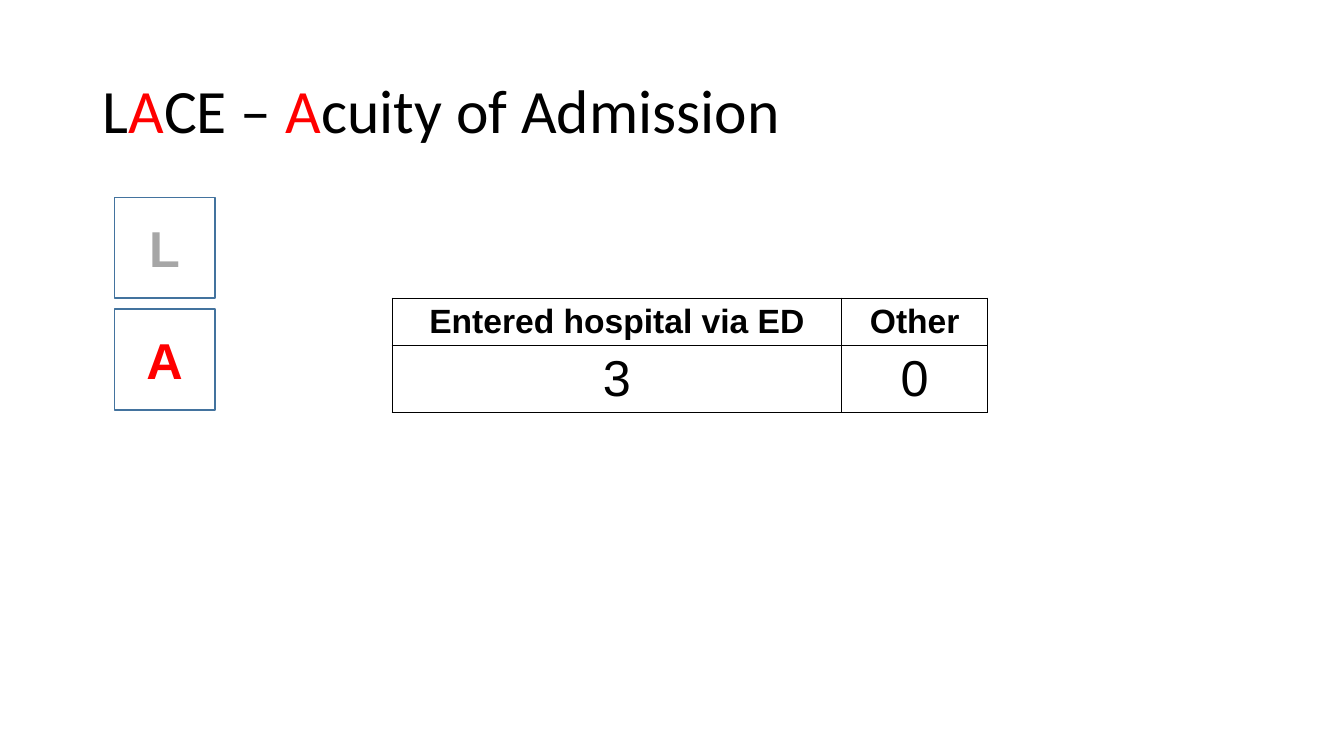
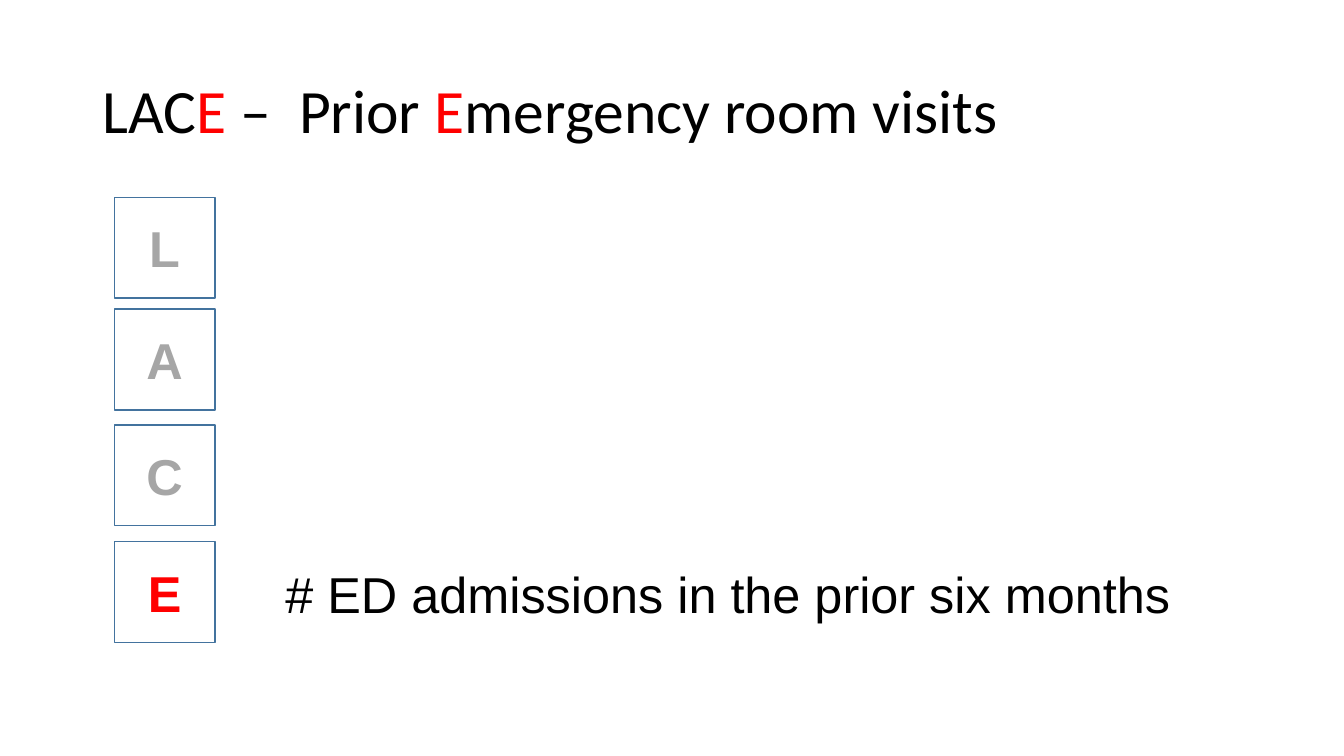
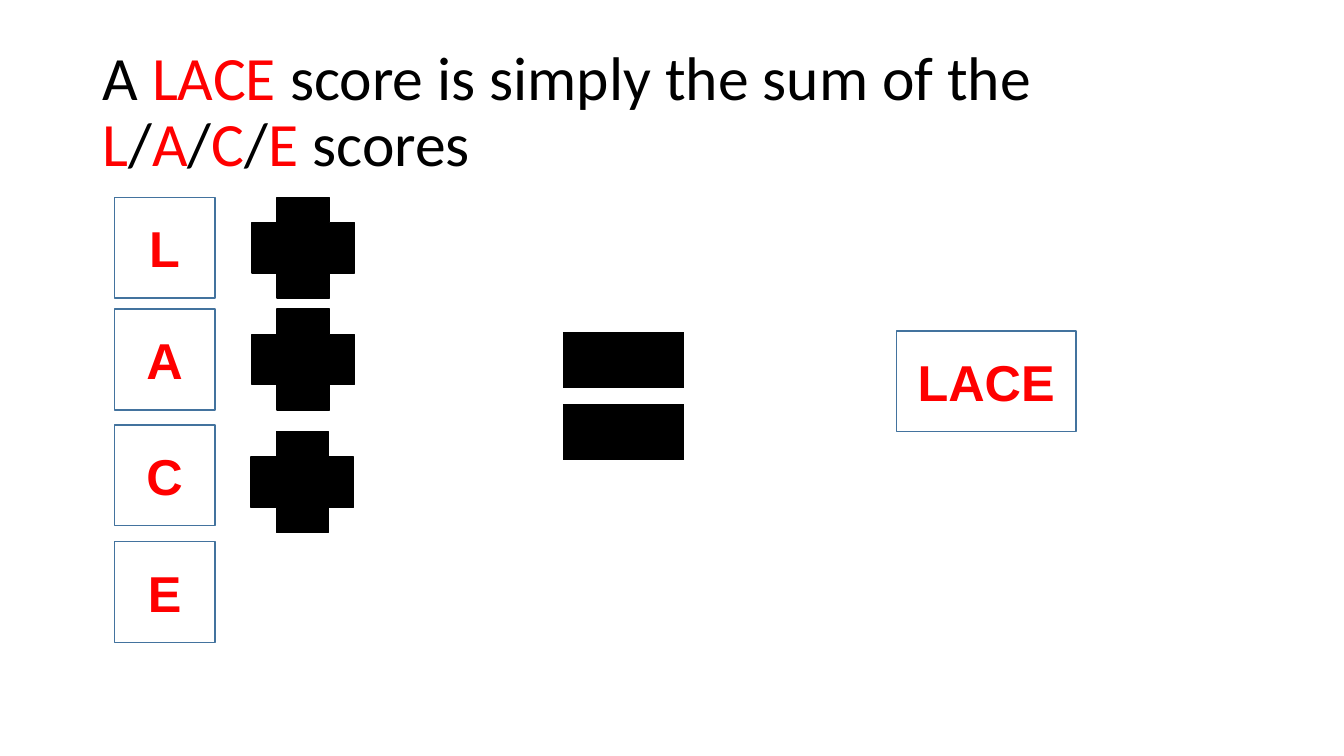
from lxml.etree import SubElement
from pptx import Presentation
from pptx.dml.color import RGBColor
from pptx.enum.shapes import MSO_CONNECTOR, MSO_SHAPE
from pptx.enum.text import MSO_ANCHOR, MSO_AUTO_SIZE, PP_ALIGN
from pptx.oxml.ns import qn
from pptx.util import Inches, Pt

COLUMNS, ROWS = 160, 90
BLACK, WHITE, RED, GREY, BLUE = "000000", "FFFFFF", "FF0000", "A6A6A6", "43739E"
TILE_LEFT, TILE_SIZE = 13.6, 12
TILE_ROWS = {"L": 23.5, "A": 36.8, "C": 50.6, "E": 64.5}


def color(code):
    """Turn a hex string into a colour."""
    return RGBColor.from_string(code)


def write(frame, text, size=36, font="Arial", ink=BLACK, accent=RED,
          bold=False, align=PP_ALIGN.CENTER, spacing=None):
    """Write one paragraph; parts between asterisks take the accent colour."""
    para = frame.paragraphs[0]
    para.alignment = align
    para.line_spacing = spacing
    for index, part in enumerate(text.split("*")):
        if part:
            span = para.add_run()
            span.text = part
            span.font.size = Pt(size)
            span.font.name = font
            span.font.bold = bold
            span.font.color.rgb = color(accent if index % 2 else ink)


class LaceDeck:
    """Hold the deck's style and the slide being built."""

    def __init__(self):
        """Open a wide deck and measure its grid."""
        self.deck = Presentation()
        self.deck.slide_width, self.deck.slide_height = Inches(13.333), Inches(7.5)
        self.slide = None

    def across(self, columns):
        """Turn grid columns into a length."""
        return round(self.deck.slide_width * columns / COLUMNS)

    def down(self, rows):
        """Turn grid rows into a length."""
        return round(self.deck.slide_height * rows / ROWS)

    def place(self, left, top, width, height):
        """Turn a grid area into lengths."""
        return self.across(left), self.down(top), self.across(width), self.down(height)

    def page(self, title):
        """Start a slide with its title."""
        self.slide = self.deck.slides.add_slide(self.deck.slide_layouts[5])
        box = self.slide.shapes.title
        box.left, box.top, box.width, box.height = self.place(11, 4.8, 138, 17.4)
        frame = box.text_frame
        frame.word_wrap = True
        frame.auto_size = MSO_AUTO_SIZE.NONE
        frame.vertical_anchor = MSO_ANCHOR.MIDDLE
        write(frame, title, size=44, font="Calibri", align=PP_ALIGN.LEFT, spacing=0.9)

    def shape(self, kind, area, line, fill=None):
        """Add a preset shape, hollow unless a fill is given."""
        box = self.slide.shapes.add_shape(kind, *self.place(*area))
        box.shadow.inherit = False
        if fill:
            box.fill.solid()
            box.fill.fore_color.rgb = color(fill)
        else:
            box.fill.background()
        box.line.color.rgb = color(line)
        box.line.width = Pt(1)
        return box

    def tile(self, text, area, ink):
        """Add an outlined box with bold text."""
        frame = self.shape(MSO_SHAPE.RECTANGLE, area, BLUE).text_frame
        frame.vertical_anchor = MSO_ANCHOR.MIDDLE
        write(frame, text, ink=ink, bold=True)

    def letters(self, shown, active):
        """Stack the letter tiles, with the active ones in red."""
        for letter in shown:
            area = (TILE_LEFT, TILE_ROWS[letter], TILE_SIZE, TILE_SIZE)
            self.tile(letter, area, RED if letter in active else GREY)

    def plus(self, left, top):
        """Add a black plus sign."""
        self.shape(MSO_SHAPE.CROSS, (left, top, 12.2, TILE_SIZE), BLACK, BLACK)

    def bar(self, left, right, row):
        """Add one thick bar of an equals sign."""
        line = self.slide.shapes.add_connector(
            MSO_CONNECTOR.STRAIGHT, self.across(left), self.down(row),
            self.across(right), self.down(row))
        line.line.color.rgb = color(BLACK)
        line.line.width = Pt(40)
        SubElement(line._element.spPr, qn("a:effectLst"))

    def label(self, text, area):
        """Add a plain line of text."""
        frame = self.slide.shapes.add_textbox(*self.place(*area)).text_frame
        frame.word_wrap = True
        write(frame, text, align=PP_ALIGN.LEFT)

    def table(self, left, top, widths, height, rows):
        """Add a ruled table with a bold header row."""
        area = self.place(left, top, sum(widths), height * len(rows))
        table = self.slide.shapes.add_table(len(rows), len(widths), *area).table
        for column, width in zip(table.columns, widths):
            column.width = self.across(width)
        for row, texts in enumerate(rows):
            for column, text in enumerate(texts):
                cell = table.cell(row, column)
                self.rule(cell)
                cell.fill.solid()
                cell.fill.fore_color.rgb = color(WHITE)
                header = row == 0
                write(cell.text_frame, text, size=24 if header else 36, bold=header)

    def rule(self, cell):
        """Draw the four borders of a cell."""
        properties = cell._tc.get_or_add_tcPr()
        for side in ("lnL", "lnR", "lnT", "lnB"):
            border = SubElement(properties, qn(f"a:{side}"), w=str(Pt(1)))
            SubElement(SubElement(border, qn("a:solidFill")), qn("a:srgbClr"), val=BLACK)


def main():
    """Build the three slides."""
    lace = LaceDeck()

    lace.page("L*A*CE – *A*cuity of Admission")
    lace.letters("LA", active="A")
    lace.table(46.7, 35.5, (53.5, 17.4), 4.9,
               (("Entered hospital via ED", "Other"), ("3", "0")))

    lace.page("LAC*E* –  Prior *E*mergency room visits")
    lace.letters("LACE", active="E")
    lace.label("# ED admissions in the prior six months", (32.8, 66.4, 108.8, 8.5))

    lace.page("A *LACE* score is simply the sum of the *L*/*A*/*C*/*E* scores")
    lace.letters("LACE", active="LACE")
    for left, top in ((30, TILE_ROWS["L"]), (30, TILE_ROWS["A"]), (29.9, 51.4)):
        lace.plus(left, top)
    lace.tile("LACE", (106.7, 39.4, 21.4, TILE_SIZE), RED)
    for row in (42.8, 51.4):
        lace.bar(67, 81.4, row)

    lace.deck.save("out.pptx")


if __name__ == "__main__":
    main()
